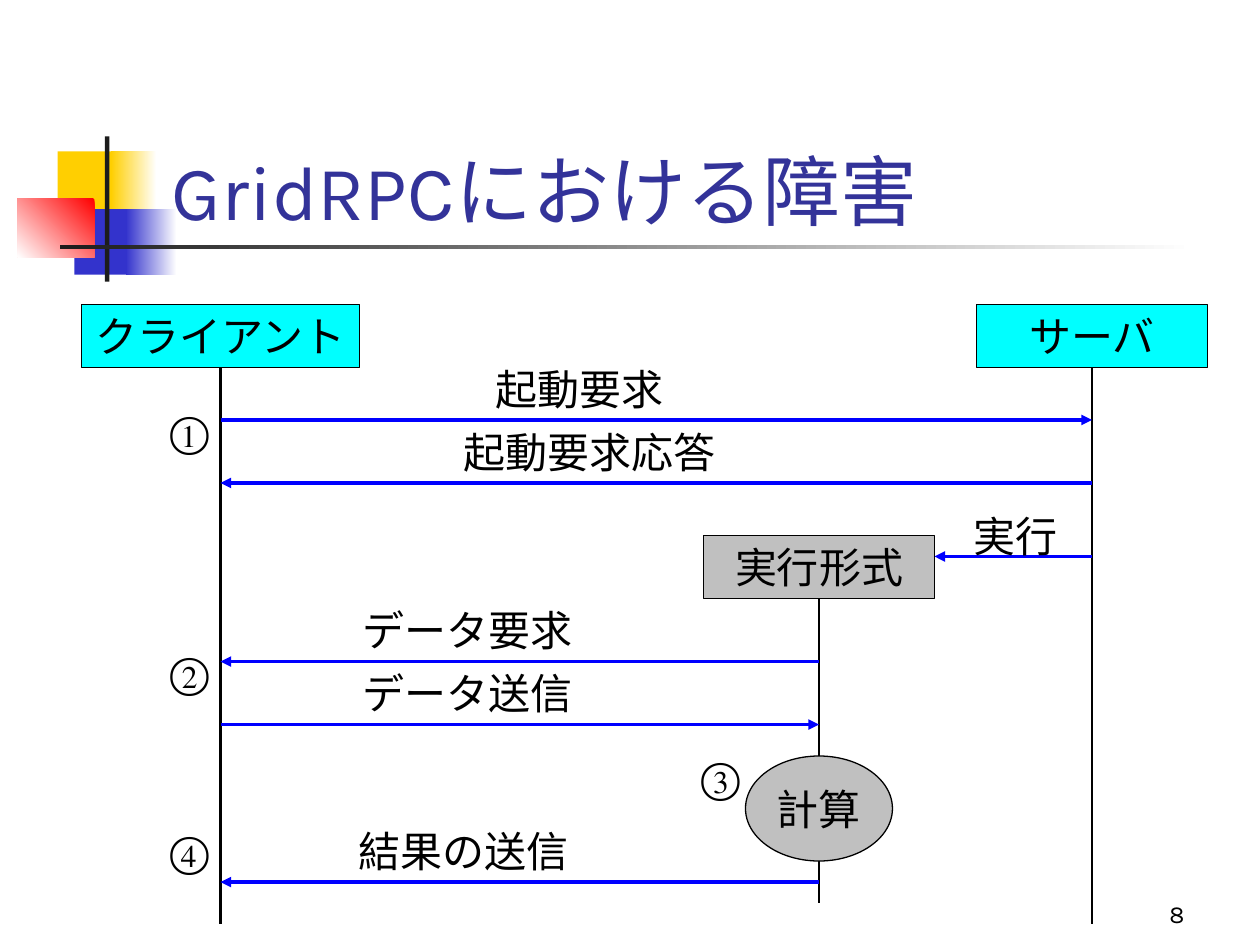
from pptx import Presentation
from pptx.dml.color import RGBColor
from pptx.enum import shapes, text
from pptx.oxml import parse_xml
from pptx.oxml.ns import nsdecls
from pptx.util import Pt

BLACK = RGBColor(0x00, 0x00, 0x00)
WHITE = RGBColor(0xFF, 0xFF, 0xFF)
CHARCOAL = RGBColor(0x1C, 0x1C, 0x1C)
YELLOW = RGBColor(0xFF, 0xCF, 0x01)
INDIGO = RGBColor(0x33, 0x33, 0xCC)
RED = RGBColor(0xFF, 0x00, 0x00)
NAVY = RGBColor(0x33, 0x33, 0x99)
CYAN = RGBColor(0x00, 0xFF, 0xFF)
GRAY = RGBColor(0xC0, 0xC0, 0xC0)
BLUE = RGBColor(0x00, 0x00, 0xFF)

CLIENT_X, RUNNER_X, SERVER_X = 126, 468, 624
LABEL_SIZE, LABEL_MARGINS = 24, 15
RECTANGLE = shapes.MSO_SHAPE.RECTANGLE
OVAL = shapes.MSO_SHAPE.OVAL
MIDDLE = text.MSO_ANCHOR.MIDDLE
LEFT, CENTER, RIGHT = text.PP_ALIGN.LEFT, text.PP_ALIGN.CENTER, text.PP_ALIGN.RIGHT

deck = Presentation()
deck.slide_width, deck.slide_height = Pt(720), Pt(540)
page = deck.slides.add_slide(deck.slide_layouts[5])


def write(box, words, size=LABEL_SIZE, font="Times New Roman", color=BLACK,
          align=LEFT, anchor=text.MSO_ANCHOR.TOP, wrap=False,
          fit=text.MSO_AUTO_SIZE.NONE):
    frame = box.text_frame
    frame.word_wrap = wrap
    frame.auto_size = fit
    frame.vertical_anchor = anchor
    para = frame.paragraphs[0]
    para.alignment = align
    span = para.add_run()
    span.text = words
    span.font.size = Pt(size)
    span.font.name = font
    span.font.color.rgb = color


def connect(x1, y1, x2, y2, color=BLACK, width=1.5, arrow=False):
    line = page.shapes.add_connector(
        shapes.MSO_CONNECTOR.STRAIGHT, Pt(x1), Pt(y1), Pt(x2), Pt(y2))
    line.line.color.rgb = color
    line.line.width = Pt(width)
    if arrow:
        line.line._get_or_add_ln().append(
            parse_xml(f'<a:tailEnd {nsdecls("a")} type="triangle"/>'))
    line.element.spPr.append(parse_xml(f'<a:effectLst {nsdecls("a")}/>'))


for left, top, width, height, colors, angle in [
    (33, 86.5, 34.5, 37.5, [YELLOW], None),
    (63.5, 86.5, 26, 37.5, [WHITE, YELLOW], 180),
    (42.5, 119.5, 33, 37.5, [INDIGO], None),
    (72, 119.5, 29, 37.5, [WHITE, INDIGO], 180),
    (10, 113.5, 44, 33.5, [RED, WHITE], 225),
    (60, 78, 2.5, 83, [CHARCOAL], None),
    (34.5, 140, 648, 2.5, [WHITE, CHARCOAL], 180),
]:
    ornament = page.shapes.add_shape(RECTANGLE, Pt(left), Pt(top), Pt(width), Pt(height))
    ornament.shadow.inherit = False
    ornament.line.fill.background()
    if angle is None:
        ornament.fill.solid()
        ornament.fill.fore_color.rgb = colors[0]
    else:
        ornament.fill.gradient()
        ornament.fill.gradient_angle = angle
        for stop, color, position in zip(ornament.fill.gradient_stops, colors, (0, 1)):
            stop.color.rgb = color
            stop.position = position

title = page.shapes.title
title.left, title.top, title.width, title.height = Pt(91), Pt(48.5), Pt(613.5), Pt(90)
write(title, "GridRPCにおける障害", size=44, font="Karla", color=NAVY,
      anchor=text.MSO_ANCHOR.BOTTOM, wrap=True)
page.shapes.element.append(title.element)

for x, top, bottom in [(CLIENT_X, 210, 528), (SERVER_X, 210, 528), (RUNNER_X, 342, 516)]:
    connect(x, top, x, bottom)

for start, end, y in [
    (CLIENT_X, SERVER_X, 240),
    (SERVER_X, CLIENT_X, 276),
    (SERVER_X, 534, 318),
    (RUNNER_X, CLIENT_X, 378),
    (CLIENT_X, RUNNER_X, 414),
    (RUNNER_X, CLIENT_X, 504),
]:
    connect(start, y, end, y, color=BLUE, width=2, arrow=True)

for words, shape, center, top, width, height, color in [
    ("クライアント", RECTANGLE, CLIENT_X, 174, 159, 36, CYAN),
    ("サーバ", RECTANGLE, SERVER_X, 174, 132, 36, CYAN),
    ("実行形式", RECTANGLE, RUNNER_X, 306, 132, 36, GRAY),
    ("計算", OVAL, RUNNER_X, 432, 84, 60, GRAY),
]:
    node = page.shapes.add_shape(
        shape, Pt(center - width / 2), Pt(top), Pt(width), Pt(height))
    node.shadow.inherit = False
    node.fill.solid()
    node.fill.fore_color.rgb = color
    node.line.color.rgb = BLACK
    node.line.width = Pt(0.75)
    write(node, words, align=CENTER, anchor=MIDDLE)

for words, left, top in [
    ("起動要求", 276, 204),
    ("起動要求応答", 258, 240),
    ("実行", 549, 288),
    ("データ要求", 200, 342),
    ("データ送信", 200, 378),
    ("結果の送信", 198, 468),
    ("①", 90, 228),
    ("②", 90, 366),
    ("③", 393.5, 426),
    ("④", 90, 468),
]:
    width = LABEL_SIZE * len(words) + LABEL_MARGINS
    label = page.shapes.add_textbox(Pt(left), Pt(top), Pt(width), Pt(36))
    write(label, words, fit=text.MSO_AUTO_SIZE.SHAPE_TO_FIT_TEXT)

number = page.shapes.add_textbox(Pt(534), Pt(498), Pt(150), Pt(36))
write(number, "8", size=14, font="Karla", align=RIGHT,
      anchor=text.MSO_ANCHOR.BOTTOM, wrap=True)

deck.save("out.pptx")
